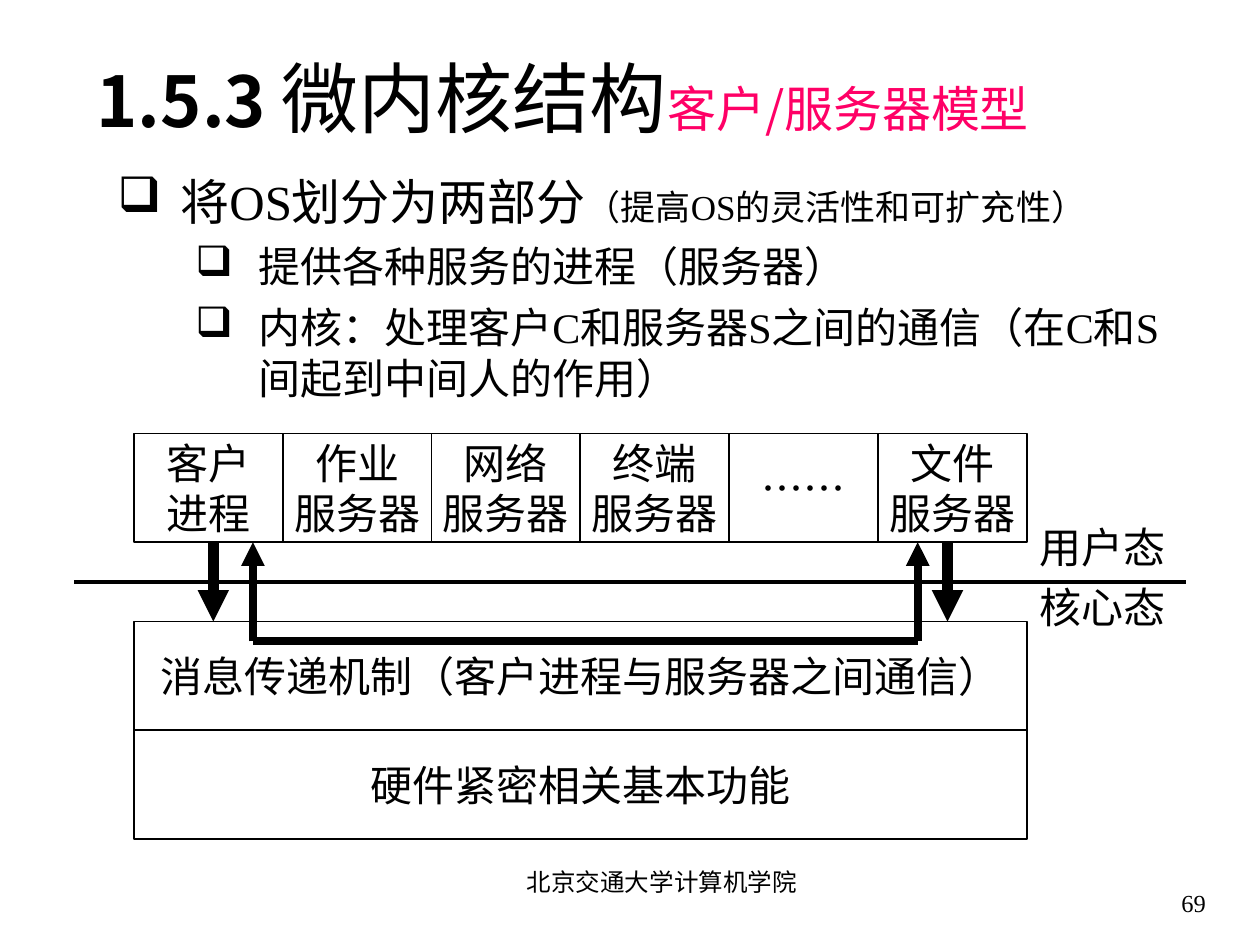
from lxml.etree import SubElement
from pptx import Presentation
from pptx.dml.color import RGBColor
from pptx.enum.shapes import MSO_CONNECTOR as LINE, MSO_SHAPE as SHAPE
from pptx.enum.text import MSO_ANCHOR as ANCHOR, PP_ALIGN as ALIGN
from pptx.oxml.ns import qn
from pptx.util import Cm, Pt

COLORS = {"ink": "000000", "accent": "FF0066"}
LATIN, CJK = "Times New Roman", "Noto Sans CJK SC"

CELL_W, CELL_H = 3.0, 2.19
LEFT, SERVERS_TOP, KERNEL_TOP = 2.7, 8.74, 12.53
SERVERS_BOTTOM = SERVERS_TOP + CELL_H
MODE_LINE_Y, CHANNEL_Y = 11.73, 12.93
PROCESSES = ["客户\n进程", "作业\n服务器", "网络\n服务器", "终端\n服务器", "……", "文件\n服务器"]


def rgb(name):
    return RGBColor.from_string(COLORS[name])


def add_run(paragraph, text, size=24, font=LATIN, color="ink", bold=False):
    run = paragraph.add_run()
    run.text = text
    run.font.size = Pt(size)
    run.font.name = font
    run.font.bold = bold
    run.font.color.rgb = rgb(color)
    SubElement(run.font._element, qn("a:ea"), typeface=CJK)


def set_frame(frame, anchor=ANCHOR.TOP, inset=(0.25, 0.13)):
    frame.word_wrap = True
    frame.vertical_anchor = anchor
    frame.margin_left = frame.margin_right = Cm(inset[0])
    frame.margin_top = frame.margin_bottom = Cm(inset[1])


def write(frame, text, align=ALIGN.LEFT, before=0, **run_format):
    """Write one paragraph for each line of text."""
    for i, line in enumerate(text.split("\n")):
        paragraph = frame.add_paragraph() if i else frame.paragraphs[0]
        paragraph.alignment = align
        paragraph.space_before = Pt(before)
        add_run(paragraph, line, **run_format)


def add_label(slide, text, x, y, w, h, anchor=ANCHOR.TOP, inset=(0.25, 0.13), **text_format):
    frame = slide.shapes.add_textbox(Cm(x), Cm(y), Cm(w), Cm(h)).text_frame
    set_frame(frame, anchor, inset)
    write(frame, text, **text_format)


def add_box(slide, text, x, y, w, font=LATIN):
    box = slide.shapes.add_shape(SHAPE.RECTANGLE, Cm(x), Cm(y), Cm(w), Cm(CELL_H))
    box.shadow.inherit = False
    box.fill.background()
    box.line.color.rgb = rgb("ink")
    box.line.width = Pt(1)
    set_frame(box.text_frame, ANCHOR.MIDDLE, inset=(0.05, 0))
    write(box.text_frame, text, align=ALIGN.CENTER, font=font)


def add_line(slide, x1, y1, x2, y2, width, arrow=False):
    line = slide.shapes.add_connector(LINE.STRAIGHT, Cm(x1), Cm(y1), Cm(x2), Cm(y2))
    line.line.color.rgb = rgb("ink")
    line.line.width = Pt(width)
    if arrow:
        SubElement(line.line._get_or_add_ln(), qn("a:tailEnd"), type="triangle")
    SubElement(line._element.spPr, qn("a:effectLst"))


def add_title(slide):
    title = slide.shapes.title
    title.left, title.top, title.width, title.height = Cm(1.7), Cm(1.12), Cm(22), Cm(1.9)
    set_frame(title.text_frame, ANCHOR.BOTTOM)
    heading = title.text_frame.paragraphs[0]
    heading.alignment = ALIGN.LEFT
    add_run(heading, "1.5.3 ", size=40, font=CJK, bold=True)
    add_run(heading, "微内核结构", size=44, font=CJK)
    add_run(heading, "客户/服务器模型", size=28, font=CJK, color="accent")


def add_bullet(paragraph, runs, indent, before, level=0):
    paragraph.level = level
    paragraph.space_before = Pt(before)
    props = paragraph._p.get_or_add_pPr()
    props.set("marL", str(Cm(indent)))
    props.set("indent", str(Cm(-1.27)))
    SubElement(props, qn("a:buChar"), char="❑")
    for text, size in runs:
        add_run(paragraph, text, size=size)


def add_points(slide):
    frame = slide.shapes.add_textbox(Cm(2.12), Cm(3.33), Cm(21.6), Cm(5)).text_frame
    set_frame(frame)
    add_bullet(frame.paragraphs[0],
               [("将OS划分为两部分", 28), ("（提高OS的灵活性和可扩充性）", 20)], 1.27, 5)
    for text in ("提供各种服务的进程（服务器）",
                 "内核：处理客户C和服务器S之间的通信（在C和S间起到中间人的作用）"):
        add_bullet(frame.add_paragraph(), [(text, 24)], 2.84, 6, level=1)


def add_diagram(slide):
    for i, process in enumerate(PROCESSES):
        add_box(slide, process, LEFT + i * CELL_W, SERVERS_TOP, CELL_W,
                font=CJK if process == "……" else LATIN)
    for i, layer in enumerate(["消息传递机制（客户进程与服务器之间通信）", "硬件紧密相关基本功能"]):
        add_box(slide, layer, LEFT, KERNEL_TOP + i * CELL_H, len(PROCESSES) * CELL_W)

    add_line(slide, 1.5, MODE_LINE_Y, 23.9, MODE_LINE_Y, 2)
    for mode, y in (("用户态", 10.52), ("核心态", 11.72)):
        add_label(slide, mode, 20.9, y, 3, 1.02, anchor=ANCHOR.MIDDLE, inset=(0.05, 0))

    for x in (4.3, 19.1):
        add_line(slide, x, SERVERS_BOTTOM, x, KERNEL_TOP, 6, arrow=True)
    channel_ends = (5.1, 18.5)
    for x in channel_ends:
        add_line(slide, x, CHANNEL_Y, x, SERVERS_BOTTOM, 4.5, arrow=True)
    add_line(slide, channel_ends[0], CHANNEL_Y, channel_ends[1], CHANNEL_Y, 4.5)


def main():
    deck = Presentation()
    deck.slide_width, deck.slide_height = Cm(25.4), Cm(19.05)
    slide = deck.slides.add_slide(deck.slide_layouts[5])
    add_title(slide)
    add_points(slide)
    add_diagram(slide)
    add_label(slide, "北京交通大学计算机学院", 9.32, 17.35, 8.05, 1.27,
              align=ALIGN.CENTER, before=8.8, size=14)
    add_label(slide, "69", 22.02, 17.35, 2.54, 1.27,
              anchor=ANCHOR.BOTTOM, align=ALIGN.RIGHT, size=14)
    deck.save("out.pptx")


if __name__ == "__main__":
    main()
